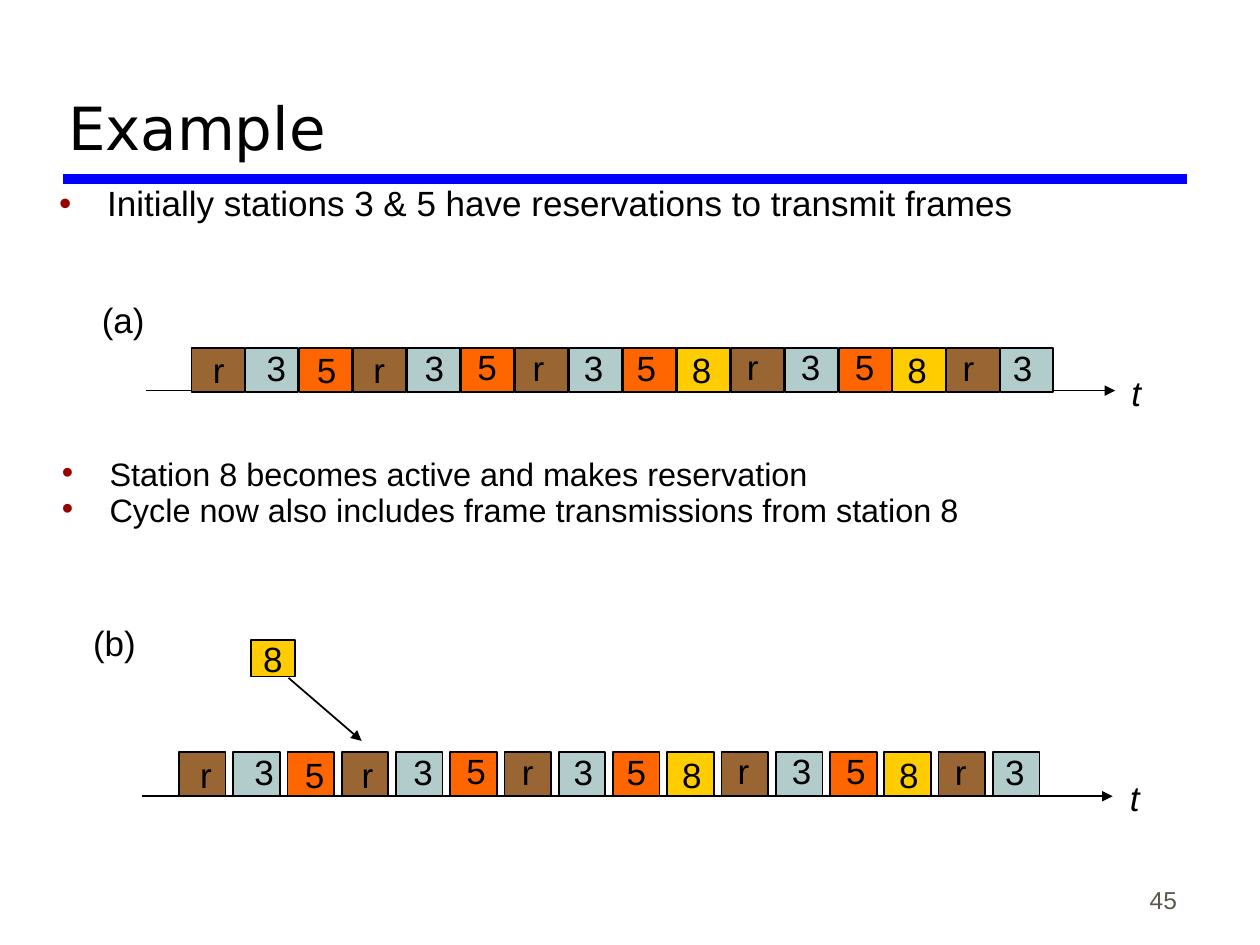
from lxml.etree import SubElement
from pptx import Presentation
from pptx.dml.color import RGBColor
from pptx.enum.shapes import MSO_CONNECTOR, MSO_SHAPE
from pptx.enum.text import MSO_ANCHOR, MSO_AUTO_SIZE, PP_ALIGN
from pptx.oxml.ns import qn
from pptx.util import Inches, Pt

STATION_FILLS = {"r": "996633", "3": "B1CCCB", "5": "FF6600", "8": "FFCC00"}

# Station of each time slot, and the offset of its label from the slot's corner
SLOTS = [
    ("r", 0.07, -0.04), ("3", 0.07, -0.06), ("5", 0.04, -0.04),
    ("r", 0.06, -0.04), ("3", 0.04, -0.06), ("5", 0.03, -0.07),
    ("r", 0.04, -0.06), ("3", 0.02, -0.06), ("5", 0.01, -0.06), ("8", 0.02, -0.04),
    ("r", 0.03, -0.07), ("3", 0.03, -0.07), ("5", 0.03, -0.07), ("8", 0.02, -0.04),
    ("r", 0.03, -0.06), ("3", 0, -0.06),
]


def color(hex_string):
    return RGBColor.from_string(hex_string)


def place(shape, left, top, width, height):
    shape.left, shape.top = Inches(left), Inches(top)
    shape.width, shape.height = Inches(width), Inches(height)


def format_font(paragraph, size, name="Arial", fill="000000", italic=False):
    for run in paragraph.runs:
        run.font.size = Pt(size)
        run.font.name = name
        run.font.italic = italic
        run.font.color.rgb = color(fill)


def add_label(shapes, text, left, top, width, wrap=True, italic=False):
    box = shapes.add_textbox(Inches(left), Inches(top), Inches(width), Inches(0.43))
    text_frame = box.text_frame
    text_frame.word_wrap = wrap
    text_frame.text = text
    format_font(text_frame.paragraphs[0], 20, italic=italic)


def add_line(shapes, start, end, fill="000000", width=1, arrow=True):
    line = shapes.add_connector(
        MSO_CONNECTOR.STRAIGHT, *(Inches(value) for value in start + end))
    line.line.color.rgb = color(fill)
    line.line.width = Pt(width)
    if arrow:
        SubElement(line.line._get_or_add_ln(), qn("a:tailEnd"), type="triangle")
    SubElement(line._element.spPr, qn("a:effectLst"))


def add_frame(shapes, station, left, top, width, height):
    shape = shapes.add_shape(MSO_SHAPE.RECTANGLE, Inches(left), Inches(top),
                             Inches(width), Inches(height))
    shape.shadow.inherit = False
    shape.fill.solid()
    shape.fill.fore_color.rgb = color(STATION_FILLS[station])
    shape.line.color.rgb = color("000000")
    shape.line.width = Pt(1)


def add_timeline(shapes, first, last, top, slot_width, label_widths):
    """Draw the row of slots; label_widths holds those for r and for digits."""
    pitch = (last - first) / (len(SLOTS) - 1)
    lefts = [first + index * pitch for index in range(len(SLOTS))]
    for left, (station, _, _) in zip(lefts, SLOTS):
        add_frame(shapes, station, left, top, slot_width, 0.35)
    for left, (station, shift, rise) in zip(lefts, SLOTS):
        width = label_widths[0 if station == "r" else 1]
        add_label(shapes, station, left + shift, top + rise, width)


def fill_title(title, text):
    place(title, 0.44, 0.17, 8.97, 1.17)
    text_frame = title.text_frame
    text_frame.auto_size = MSO_AUTO_SIZE.NONE
    text_frame.vertical_anchor = MSO_ANCHOR.BOTTOM
    text_frame.text = text
    text_frame.paragraphs[0].alignment = PP_ALIGN.LEFT
    format_font(text_frame.paragraphs[0], 34, "DejaVu Sans")


def fill_list(body, left, top, items, size, spacing):
    place(body, left, top, 9.06, 0.63)
    text_frame = body.text_frame
    text_frame.auto_size = MSO_AUTO_SIZE.NONE
    text_frame.text = "\n".join(items)
    for index, paragraph in enumerate(text_frame.paragraphs):
        paragraph.line_spacing = spacing
        paragraph.space_before = Pt(5 if index else 0)
        properties = paragraph._p.get_or_add_pPr()
        properties.set("marL", str(Inches(0.38)))
        properties.set("indent", str(Inches(-0.38)))
        bullet_color = SubElement(properties, qn("a:buClr"))
        SubElement(bullet_color, qn("a:srgbClr"), val="990000")
        SubElement(properties, qn("a:buFont"), typeface="Arial")
        SubElement(properties, qn("a:buChar"), char="•")
        format_font(paragraph, size)


def add_page_number(shapes, number):
    box = shapes.add_textbox(Inches(7.36), Inches(6.81), Inches(2.08), Inches(0.5))
    text_frame = box.text_frame
    text_frame.word_wrap = True
    text_frame.vertical_anchor = MSO_ANCHOR.BOTTOM
    text_frame.text = number
    text_frame.paragraphs[0].alignment = PP_ALIGN.RIGHT
    format_font(text_frame.paragraphs[0], 14, fill="5E574E")


def main():
    presentation = Presentation()
    presentation.slide_width, presentation.slide_height = Inches(10), Inches(7.5)
    slide = presentation.slides.add_slide(presentation.slide_layouts[3])
    shapes = slide.shapes

    # Title, rule and lists
    add_line(shapes, (0.5, 1.42), (9.42, 1.42), "0000FF", 6, arrow=False)
    fill_title(shapes.title, "Example")
    fill_list(slide.placeholders[1], 0.37, 1.43,
              ["Initially stations 3 & 5 have reservations to transmit frames"], 20, 0.9)
    fill_list(slide.placeholders[2], 0.39, 3.64,
              ["Station 8 becomes active and makes reservation",
               "Cycle now also includes frame transmissions from station 8"], 18.5, 0.7)

    # Timeline (a)
    group = shapes.add_group_shape().shapes
    add_line(group, (1.16, 3.1), (8.85, 3.1))
    add_timeline(group, 1.52, 7.94, 2.76, 0.42, (0.29, 0.35))
    add_label(group, "(a)", 0.71, 2.32, 0.54, wrap=False)
    add_label(group, "t", 8.88, 2.9, 0.35, italic=True)

    # Timeline (b), with station 8 joining
    group = shapes.add_group_shape().shapes
    add_timeline(group, 1.42, 7.88, 5.97, 0.37, (0.26, 0.3))
    add_line(group, (1.13, 6.32), (8.83, 6.32))
    add_label(group, "(b)", 0.64, 4.88, 0.54, wrap=False)
    add_label(group, "t", 8.87, 6.11, 0.46, italic=True)
    add_frame(group, "8", 1.99, 5.08, 0.35, 0.29)
    add_label(group, "8", 1.99, 5.01, 0.3)
    add_line(group, (2.29, 5.38), (2.87, 5.88))

    add_page_number(shapes, "45")
    presentation.save("out.pptx")


if __name__ == "__main__":
    main()
